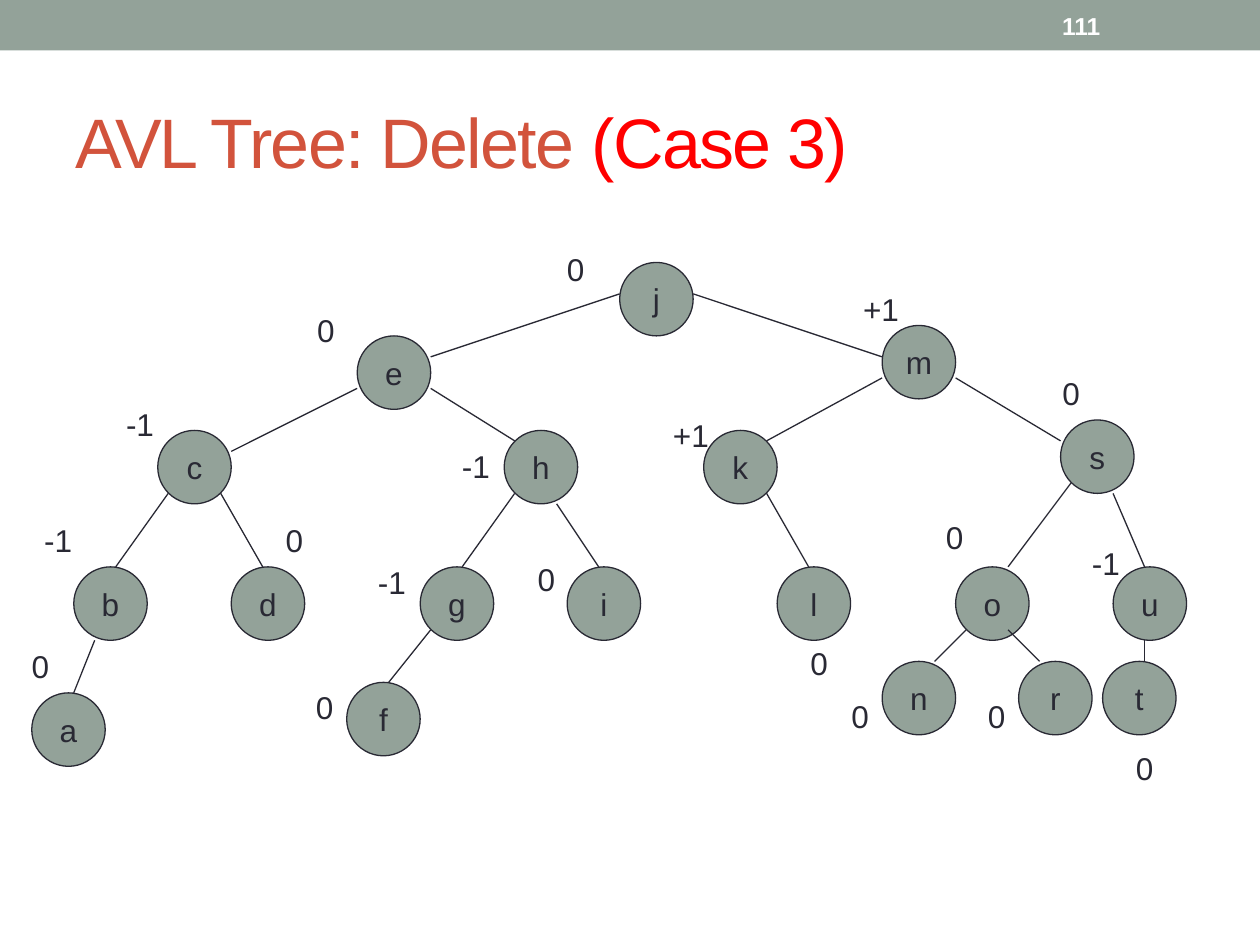
from collections import namedtuple
from pptx import Presentation
from pptx.dml.color import RGBColor
from pptx.enum.shapes import MSO_CONNECTOR as CONN, MSO_SHAPE as SHAPE
from pptx.enum.text import MSO_ANCHOR as ANCHOR, PP_ALIGN as ALIGN
from pptx.oxml.ns import qn
from pptx.util import Cm, Pt
from lxml.etree import SubElement

Box = namedtuple("Box", "x y w h")
Node = namedtuple("Node", "x y balance dx dy")

SAGE, INK, RUST, RED, WHITE = "93A299", "292934", "D2533C", "FF0000", "FFFFFF"
GRID_COLUMNS = 110
NODE_SIZE = 7
LABEL_WIDTHS = {"0": 0.86, "-1": 1.09, "+1": 1.27}
LABEL_HEIGHT = 1.09

NODES = {
    "j": Node(56, 0, "0", -6.2, -1.8),
    "e": Node(31, 7, "0", -5, -3),
    "m": Node(81, 6, "+1", -3, -4),
    "c": Node(12, 16, "-1", -4.2, -3),
    "h": Node(45, 16, "-1", -5.2, 1),
    "k": Node(64, 16, "+1", -4.1, -2),
    "s": Node(98, 15, "0", -1, -5),
    "b": Node(4, 29, "-1", -4, -5),
    "d": Node(19, 29, "0", 4, -5),
    "g": Node(37, 29, "-1", -5.2, -1),
    "i": Node(51, 29, "0", -4, -1.2),
    "l": Node(71, 29, "0", 2, 6.8),
    "o": Node(88, 29, "0", -2.1, -5.2),
    "u": Node(103, 29, "-1", -3.2, -2.8),
    "a": Node(0, 41, "0", -1.2, -5),
    "f": Node(30, 40, "0", -4.1, 0),
    "n": Node(81, 38, "0", -4.1, 2.8),
    "r": Node(94, 38, "0", -4.1, 2.8),
    "t": Node(102, 38, "0", 2, 7.8),
}

EDGES = [
    ("j", (0, 3), "e", (7, 2)),
    ("j", (7, 3), "m", (0, 3)),
    ("e", (0, 5), "c", (7, 2)),
    ("e", (7, 5), "h", (1, 1)),
    ("m", (0, 5), "k", (6, 1)),
    ("m", (7, 5), "s", (0, 2)),
    ("c", (1, 6), "b", (4, 0)),
    ("c", (6, 6), "d", (3, 0)),
    ("h", (1, 6), "g", (4, 0)),
    ("h", (5, 7), "i", (3, 0)),
    ("k", (6, 6), "l", (3, 0)),
    ("s", (1, 6), "o", (5, 0)),
    ("s", (5, 7), "u", (3, 0)),
    ("b", (2, 7), "a", (4, 0)),
    ("g", (1, 6), "f", (4, 0)),
    ("o", (1, 6), "n", (5, 0)),
    ("o", (5, 6), "r", (2, 0)),
    ("u", (3, 7), "t", (4, 0)),
]


def rgb(value):
    return RGBColor.from_string(value)


def add_run(p, text, size, color, bold=False):
    r = p.add_run()
    r.text = text
    r.font.name = "Arial"
    r.font.size = Pt(size)
    r.font.bold = bold
    r.font.color.rgb = rgb(color)
    return r


def add_text(s, box, runs, anchor=ANCHOR.TOP, wrap=True):
    sp = s.shapes.add_textbox(*map(Cm, box))
    tf = sp.text_frame
    tf.word_wrap = wrap
    tf.vertical_anchor = anchor
    return [add_run(tf.paragraphs[0], *run) for run in runs]


def add_filled(s, shape, box):
    sp = s.shapes.add_shape(shape, *map(Cm, box))
    sp.shadow.inherit = False
    sp.fill.solid()
    sp.fill.fore_color.rgb = rgb(SAGE)
    sp.line.fill.background()
    return sp


def style_line(line):
    line.color.rgb = rgb(INK)
    line.width = Pt(0.75)


def add_node(s, box, name):
    sp = add_filled(s, SHAPE.OVAL, box)
    style_line(sp.line)
    tf = sp.text_frame
    tf.word_wrap = False
    tf.vertical_anchor = ANCHOR.MIDDLE
    p = tf.paragraphs[0]
    p.alignment = ALIGN.CENTER
    add_run(p, name, 18, INK)


def add_edge(s, start, end):
    line = s.shapes.add_connector(CONN.STRAIGHT, *map(Cm, start + end))
    style_line(line.line)
    SubElement(line._element.spPr, qn("a:effectLst"))


def add_header(s, box):
    add_filled(s, SHAPE.RECTANGLE, box)
    number = Box(box.x + 21.16, box.y + 0.05, 2.97, box.h - 0.1)
    add_text(s, number, [("111", 14, WHITE, True)], ANCHOR.MIDDLE)


def add_title(s, box):
    runs = [("AVL Tree: Delete ", 40, RUST), ("(Case 3)", 40, RED)]
    for r in add_text(s, box, runs, ANCHOR.MIDDLE):
        r.font._element.set("spc", "-100")


def add_tree(s, box):
    unit = box.w / GRID_COLUMNS

    def point(name, dx=0, dy=0):
        node = NODES[name]
        return box.x + (node.x + dx) * unit, box.y + (node.y + dy) * unit

    size = NODE_SIZE * unit
    for name in NODES:
        add_node(s, Box(*point(name), size, size), name)
    for parent, start, child, end in EDGES:
        add_edge(s, point(parent, *start), point(child, *end))
    for name, node in NODES.items():
        label = Box(*point(name, node.dx, node.dy),
                    LABEL_WIDTHS[node.balance], LABEL_HEIGHT)
        add_text(s, label, [(node.balance, 18, INK)], wrap=False)


def main():
    prs = Presentation()
    prs.slide_width, prs.slide_height = Cm(25.4), Cm(19.05)
    s = prs.slides.add_slide(prs.slide_layouts[6])
    add_header(s, Box(0, 0, 25.4, 1.02))
    add_title(s, Box(1.27, 1.47, 22.86, 2.74))
    add_tree(s, Box(0.64, 5.29, 23.28, 10.16))
    prs.save("out.pptx")


if __name__ == "__main__":
    main()
